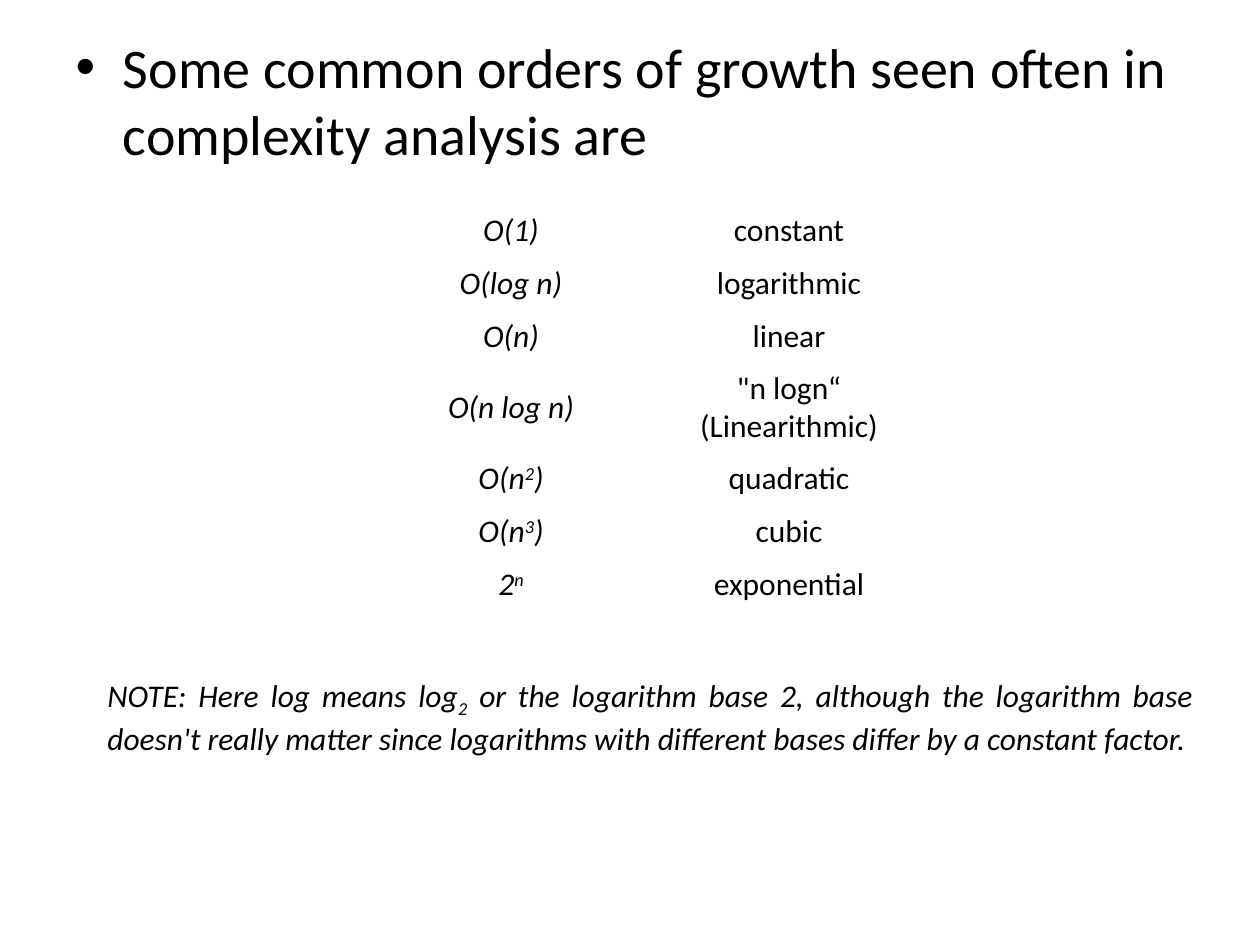
from pptx import Presentation
from pptx.dml.color import RGBColor
from pptx.enum.text import MSO_ANCHOR, MSO_AUTO_SIZE, PP_ALIGN
from pptx.util import Emu, Pt

EMU_PER_PX = 914400 / 126
FONT = "Calibri"
COLORS = {"text": "000000", "background": "FFFFFF"}
SUPERSCRIPT, SUBSCRIPT = 30000, -25000

HEADING = "Some common orders of growth seen often in complexity analysis are"
ORDERS = [
    ([("O(1)", 0)], "constant"),
    ([("O(log n)", 0)], "logarithmic"),
    ([("O(n)", 0)], "linear"),
    ([("O(n log n)", 0)], '"n logn“ (Linearithmic)'),
    ([("O(n", 0), ("2", SUPERSCRIPT), (")", 0)], "quadratic"),
    ([("O(n", 0), ("3", SUPERSCRIPT), (")", 0)], "cubic"),
    ([("2", 0), ("n", SUPERSCRIPT)], "exponential"),
]
NOTE = [
    ("NOTE: Here log means log", 0),
    ("2", SUBSCRIPT),
    (" or the logarithm base 2, although the logarithm base doesn't really matter "
     "since logarithms with different bases differ by a constant factor.", 0),
]


def px(length):
    """Turn pixels into EMU."""
    return Emu(round(length * EMU_PER_PX))


def add_runs(para, spans, size, italic=False):
    """Add (text, baseline) spans to a paragraph."""
    for text, baseline in spans:
        span = para.add_run()
        span.text = text
        span.font.name = FONT
        span.font.size = Pt(size)
        span.font.italic = italic
        span.font.color.rgb = RGBColor.from_string(COLORS["text"])
        if baseline:
            span._r.get_or_add_rPr().set("baseline", str(baseline))


def fill_body(page):
    """Place the bulleted heading in the body placeholder."""
    page.shapes.title.element.getparent().remove(page.shapes.title.element)
    body = page.placeholders[1]
    body.left, body.top, body.width, body.height = map(px, (63, 26, 1134, 853))
    body.text_frame.auto_size = MSO_AUTO_SIZE.NONE
    add_runs(body.text_frame.paragraphs[0], [(HEADING, 0)], 32)


def fill_cell(cell, spans, italic):
    """Write centred text in an unbanded cell."""
    cell.fill.solid()
    cell.fill.fore_color.rgb = RGBColor.from_string(COLORS["background"])
    cell.vertical_anchor = MSO_ANCHOR.MIDDLE
    para = cell.text_frame.paragraphs[0]
    para.alignment = PP_ALIGN.CENTER
    add_runs(para, spans, 18, italic)


def add_orders_table(page):
    """Add the table of growth orders and their names."""
    frame = page.shapes.add_table(len(ORDERS), 2, px(372), px(204),
                                  px(556), px(53 * len(ORDERS)))
    table = frame.table
    table.first_row = table.horz_banding = False
    for row, (formula, name) in enumerate(ORDERS):
        fill_cell(table.cell(row, 0), formula, True)
        fill_cell(table.cell(row, 1), [(name, 0)], False)


def add_note(page):
    """Add the justified note on the logarithm base."""
    box = page.shapes.add_textbox(px(95), px(670), px(1111), px(89))
    box.text_frame.word_wrap = True
    box.text_frame.auto_size = MSO_AUTO_SIZE.SHAPE_TO_FIT_TEXT
    para = box.text_frame.paragraphs[0]
    para.alignment = PP_ALIGN.JUSTIFY
    add_runs(para, NOTE, 18, True)


def main():
    """Build and save the slide."""
    deck = Presentation()
    deck.slide_width, deck.slide_height = px(1260), px(945)
    page = deck.slides.add_slide(deck.slide_layouts.get_by_name("Title and Content"))
    fill_body(page)
    add_orders_table(page)
    add_note(page)
    deck.save("out.pptx")


if __name__ == "__main__":
    main()
